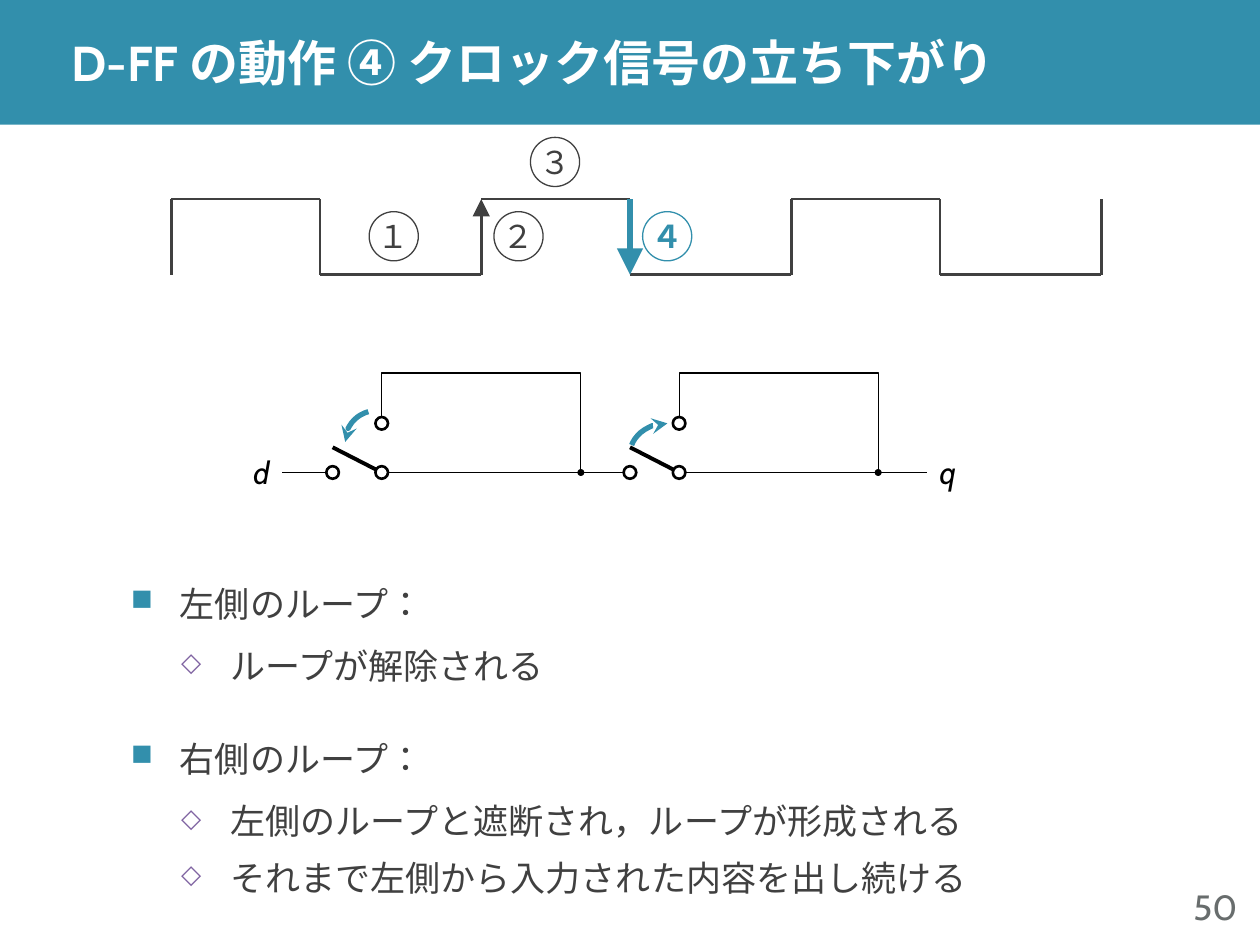
from dataclasses import dataclass

from lxml import etree
from pptx import Presentation
from pptx import util as u
from pptx.dml.color import RGBColor
from pptx.enum import lang, shapes, text
from pptx.oxml.ns import qn


@dataclass(frozen=True)
class Theme:
    accent: str = "328FAC"
    ink: str = "404040"
    black: str = "000000"
    white: str = "FFFFFF"
    gray: str = "686D6D"
    violet: str = "8064A2"
    font: str = "Cabin"
    digit_font: str = "Noto Sans CJK JP"
    title_size: int = 28
    body_size: int = 20
    label_size: int = 18


THEME = Theme()
LEFT, CENTER, RIGHT = text.PP_ALIGN.LEFT, text.PP_ALIGN.CENTER, text.PP_ALIGN.RIGHT
HEAD_SIZES = {"triangle": "lg", "oval": "sm", "stealth": "med"}


def rgb(value):
    return RGBColor.from_string(value)


def child(parent, tag, **attributes):
    return etree.SubElement(parent, qn(tag), attributes)


def box(*lengths):
    return [u.Inches(length) for length in lengths]


def add_run(paragraph, words, size, color, bold=False, italic=False, font=THEME.font):
    run = paragraph.add_run()
    run.text = words
    run.font.size = u.Pt(size)
    run.font.name = font
    run.font.bold = bold
    run.font.italic = italic
    run.font.language_id = lang.MSO_LANGUAGE_ID.JAPANESE
    run.font.color.rgb = rgb(color)
    child(run.font._element, "a:ea", typeface=font)


def write_line(shape, words, size, color, align, wrap=False, **style):
    frame = shape.text_frame
    frame.word_wrap = wrap
    frame.vertical_anchor = text.MSO_ANCHOR.MIDDLE
    frame.paragraphs[0].alignment = align
    add_run(frame.paragraphs[0], words, size, color, **style)


def add_label(slide, place, words, size, color, align=LEFT, **style):
    shape = slide.shapes.add_textbox(*box(*place))
    write_line(shape, words, size, color, align, **style)
    return shape


def style_shape(shape, fill=None, line=None, width=0.75):
    shape.shadow.inherit = False
    if fill:
        shape.fill.solid()
        shape.fill.fore_color.rgb = rgb(fill)
    else:
        shape.fill.background()
    if line:
        shape.line.color.rgb = rgb(line)
        shape.line.width = u.Pt(width)
    else:
        shape.line.fill.background()


def add_shape(slide, kind, place, **style):
    shape = slide.shapes.add_shape(kind, *box(*place))
    style_shape(shape, **style)
    return shape


def add_line(slide, start, end, color, width, head=None, tail=None):
    line = slide.shapes.add_connector(
        shapes.MSO_CONNECTOR.STRAIGHT, *box(*start, *end))
    line.line.color.rgb = rgb(color)
    line.line.width = u.Pt(width)
    add_arrowheads(line, head, tail)
    child(line._element.spPr, "a:effectLst")


def add_arrowheads(shape, head=None, tail=None):
    for tag, kind in (("a:headEnd", head), ("a:tailEnd", tail)):
        if kind:
            size = HEAD_SIZES[kind]
            child(shape.line._get_or_add_ln(), tag, type=kind, w=size, len=size)


def add_terminal(slide, x, y):
    add_shape(slide, shapes.MSO_SHAPE.OVAL, (x - 0.05, y - 0.05, 0.1, 0.1),
              fill=THEME.white, line=THEME.black, width=1.5)


def add_arc(slide, place):
    arc = add_shape(slide, shapes.MSO_SHAPE.ARC, place, line=THEME.accent, width=3)
    arc.adjustments[0], arc.adjustments[1] = 116.7, 162.33
    add_arrowheads(arc, tail="stealth")
    return arc


def add_circled_digit(slide, x, y, digit, color=THEME.ink, bold=False):
    circle = add_shape(slide, shapes.MSO_SHAPE.OVAL, (x, y, 0.39, 0.39), line=color)
    write_line(circle, digit, THEME.label_size, color, CENTER,
               bold=bold, font=THEME.digit_font)


def add_clock(slide):
    high, low, left = 1.58, 2.18, 1.36
    high_width, period = 1.18, 2.46
    for cycle in range(3):
        rise = left + cycle * period
        fall, following = rise + high_width, rise + period
        marked = cycle == 1
        add_line(slide, (rise, low), (rise, high), THEME.ink, 1.5,
                 tail="triangle" if marked else None)
        add_line(slide, (fall, high), (rise, high), THEME.ink, 1.5)
        add_line(slide, (following, low), (fall, low), THEME.ink, 1.5)
        add_line(slide, (fall, low), (fall, high),
                 THEME.accent if marked else THEME.ink, 3 if marked else 1.5,
                 head="triangle" if marked else None)
    end = left + 3 * period
    add_line(slide, (end, low), (end, high), THEME.ink, 1.5)

    # Numbered phases
    add_circled_digit(slide, 2.93, 1.68, "１")
    add_circled_digit(slide, 3.92, 1.68, "２")
    add_circled_digit(slide, 4.21, 1.09, "３")
    add_circled_digit(slide, 5.1, 1.68, "４", THEME.accent, bold=True)


def add_latch(slide, x):
    """One switch with its feedback loop; x is the input terminal."""
    wire, contact, top = 3.75, 3.36, 2.96
    pivot, junction = x + 0.39, x + 1.97
    builder = slide.shapes.build_freeform(*box(pivot, wire), scale=1.0)
    corners = [(junction, wire), (junction, top), (pivot, top), (pivot, contact)]
    builder.add_line_segments([box(*corner) for corner in corners], close=False)
    style_shape(builder.convert_to_shape(), line=THEME.black)
    add_line(slide, (junction, wire), (junction + 0.39, wire), THEME.black, 0.75,
             head="oval")
    add_line(slide, (pivot, wire), (x, 3.55), THEME.black, 2.25)
    for point in ((x, wire), (pivot, wire), (pivot, contact)):
        add_terminal(slide, *point)


def add_circuit(slide):
    add_line(slide, (2.24, 3.75), (2.64, 3.75), THEME.black, 0.75)
    for x in (2.64, 5):
        add_latch(slide, x)
    for x, name, align in ((1.85, "d", RIGHT), (7.36, "q", LEFT)):
        add_label(slide, (x, 3.55, 0.39, 0.39), name, THEME.label_size,
                  THEME.black, align, italic=True)
    # Switch movements
    add_arc(slide, (5, 3.36, 0.59, 0.49))
    closing = add_arc(slide, (2.74, 3.26, 0.49, 0.49))
    closing.rotation = 270
    closing._element.spPr.xfrm.set("flipH", "1")


def add_bullets(slide, place, items):
    frame = slide.shapes.add_textbox(*box(*place)).text_frame
    frame.word_wrap = True
    for index, (level, words) in enumerate(items):
        paragraph = frame.paragraphs[0] if index == 0 else frame.add_paragraph()
        paragraph.level = level
        paragraph.line_spacing = 1.1
        paragraph.space_after = u.Pt(3 if level else 6)
        if index:
            paragraph.space_before = u.Pt(3 if level else 24)
        properties = paragraph._p.get_or_add_pPr()
        properties.set("marL", str(u.Inches(0.79 if level else 0.39)))
        properties.set("indent", str(-u.Inches(0.39)))
        color = child(properties, "a:buClr")
        child(color, "a:srgbClr", val=THEME.violet if level else THEME.accent)
        child(properties, "a:buSzPct", val="75000" if level else "85000")
        child(properties, "a:buChar", char="◇" if level else "■")
        add_run(paragraph, words, THEME.body_size, THEME.ink)


def main():
    presentation = Presentation()
    presentation.slide_width, presentation.slide_height = box(10, 7.5)
    slide = presentation.slides.add_slide(presentation.slide_layouts[6])

    # Title band
    add_shape(slide, shapes.MSO_SHAPE.RECTANGLE, (0, 0, 10, 0.99), fill=THEME.accent)
    title = add_label(slide, (0.47, 0, 9.53, 0.99),
                      "D-FF の動作 ④ クロック信号の立ち下がり",
                      THEME.title_size, THEME.white, wrap=True, bold=True)
    title.text_frame.margin_top = title.text_frame.margin_bottom = 0

    # Diagrams
    add_circuit(slide)
    add_clock(slide)

    # Explanation and page number
    add_bullets(slide, (0.94, 4.54, 9.06, 2.26), [
        (0, "左側のループ："),
        (1, "ループが解除される"),
        (0, "右側のループ："),
        (1, "左側のループと遮断され，ループが形成される"),
        (1, "それまで左側から入力された内容を出し続ける"),
    ])
    add_label(slide, (9.12, 7, 0.8, 0.39), "50", THEME.body_size, THEME.gray, RIGHT)
    presentation.save("out.pptx")


if __name__ == "__main__":
    main()
